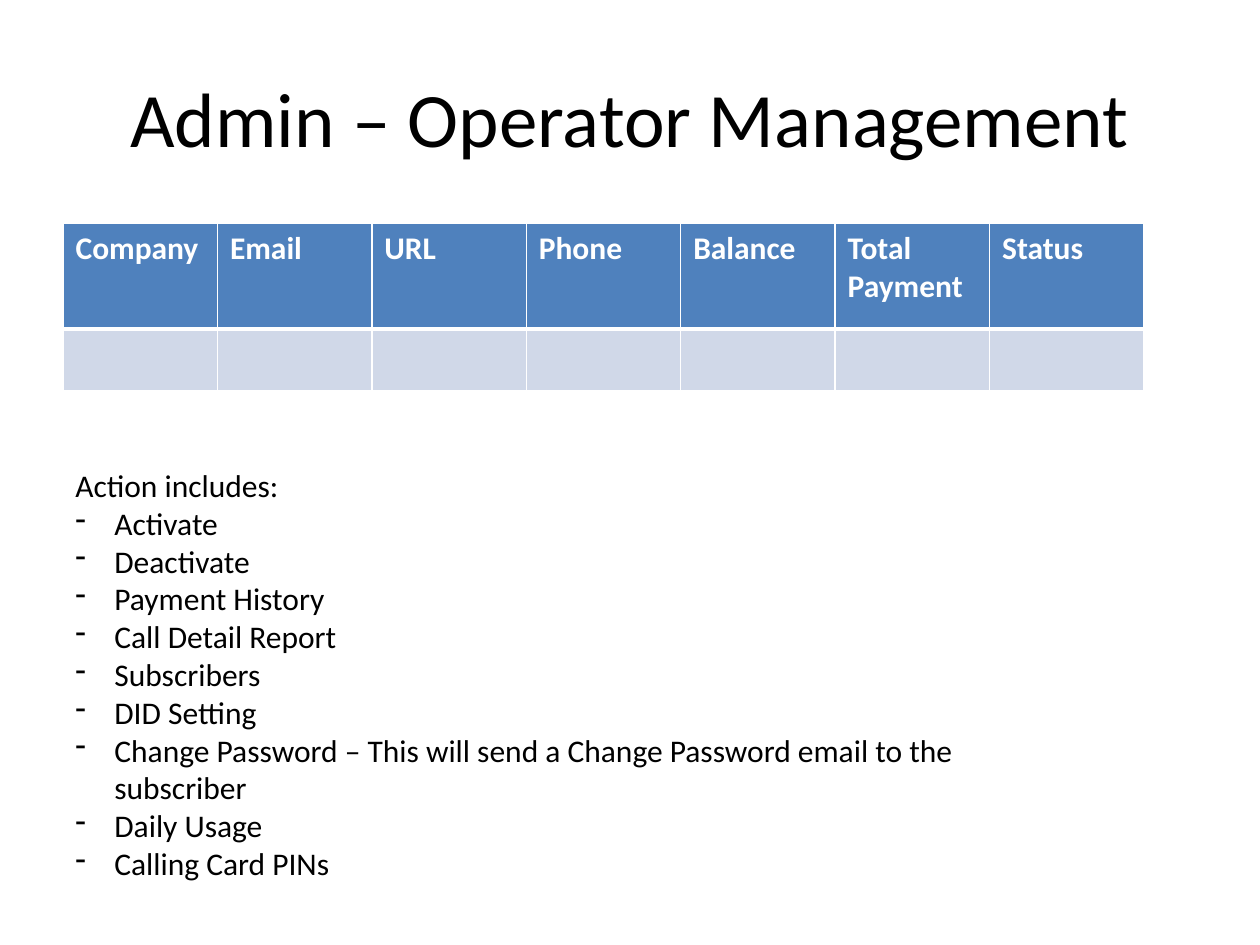
from lxml.etree import SubElement
from pptx import Presentation
from pptx.dml.color import RGBColor
from pptx.enum.text import MSO_ANCHOR as Anchor, MSO_AUTO_SIZE as AutoSize, PP_ALIGN as Align
from pptx.oxml.ns import qn
from pptx.util import Inches, Pt

BLACK = RGBColor(0x00, 0x00, 0x00)
WHITE = RGBColor(0xFF, 0xFF, 0xFF)
HEADER_BLUE = RGBColor(0x4F, 0x81, 0xBD)
ROW_BLUE = RGBColor(0xD0, 0xD8, 0xE8)

TITLE_FONT = {"name": "Calibri", "size": Pt(44), "bold": False}
HEADER_FONT = {"name": "Calibri", "size": Pt(18), "bold": True}
BODY_FONT = {"name": "Calibri", "size": Pt(18), "bold": False}

COLUMNS = ["Company", "Email", "URL", "Phone", "Balance", "Total Payment", "Status"]
ROW_HEIGHTS = [0.84, 0.49]
ACTIONS = [
    "Activate",
    "Deactivate",
    "Payment History",
    "Call Detail Report",
    "Subscribers",
    "DID Setting",
    "Change Password – This will send a Change Password email to the subscriber",
    "Daily Usage",
    "Calling Card PINs",
]


def write(para, text, font, color):
    """Add a formatted span of text to a paragraph."""
    span = para.add_run()
    span.text = text
    for name, value in font.items():
        setattr(span.font, name, value)
    span.font.color.rgb = color


def add_title(page, text):
    """Place and format the title placeholder."""
    title = page.shapes.title
    place = {"left": 0.5, "top": 0.3, "width": 9, "height": 1.25}
    for name, value in place.items():
        setattr(title, name, Inches(value))
    title.text_frame.vertical_anchor = Anchor.MIDDLE
    para = title.text_frame.paragraphs[0]
    para.alignment = Align.CENTER
    write(para, text, TITLE_FONT, BLACK)


def set_borders(cell, widths):
    """Draw white cell borders of the given widths in points."""
    properties = cell._tc.get_or_add_tcPr()
    for side, width in widths.items():
        line = SubElement(properties, qn(f"a:ln{side}"), w=str(Pt(width)))
        fill = SubElement(line, qn("a:solidFill"))
        SubElement(fill, qn("a:srgbClr"), val=str(WHITE))


def add_operator_table(page):
    """Add the table of operators with one empty row."""
    frame = page.shapes.add_table(
        len(ROW_HEIGHTS), len(COLUMNS),
        Inches(0.5), Inches(1.77), Inches(8.58), Inches(sum(ROW_HEIGHTS)))
    table = frame.table
    for row, height in zip(table.rows, ROW_HEIGHTS):
        row.height = Inches(height)
    for index, heading in enumerate(COLUMNS):
        header, empty = table.cell(0, index), table.cell(1, index)
        set_borders(header, {"L": 1, "R": 1, "T": 1, "B": 3})
        set_borders(empty, {"L": 1, "R": 1, "T": 3, "B": 1})
        for cell, color in ((header, HEADER_BLUE), (empty, ROW_BLUE)):
            cell.fill.solid()
            cell.fill.fore_color.rgb = color
        write(header.text_frame.paragraphs[0], heading, HEADER_FONT, WHITE)


def set_dash(para):
    """Give a paragraph a dash bullet with a hanging indent."""
    properties = para._p.get_or_add_pPr()
    indent = Inches(0.31)
    properties.set("marL", str(indent))
    properties.set("indent", str(-indent))
    SubElement(properties, qn("a:buFontTx"))
    SubElement(properties, qn("a:buChar"), char="-")


def add_action_list(page, heading, actions):
    """Add the heading and the dashed list of actions."""
    box = page.shapes.add_textbox(Inches(0.5), Inches(3.65), Inches(8.24), Inches(3.74))
    frame = box.text_frame
    frame.word_wrap = True
    frame.auto_size = AutoSize.SHAPE_TO_FIT_TEXT
    write(frame.paragraphs[0], heading, BODY_FONT, BLACK)
    for action in actions:
        para = frame.add_paragraph()
        set_dash(para)
        write(para, action, BODY_FONT, BLACK)


def main():
    """Build and save the operator management slide."""
    deck = Presentation()
    deck.slide_width, deck.slide_height = Inches(10), Inches(7.5)
    page = deck.slides.add_slide(deck.slide_layouts[5])
    add_title(page, "Admin – Operator Management")
    add_operator_table(page)
    add_action_list(page, "Action includes:", ACTIONS)
    deck.save("out.pptx")


main()
